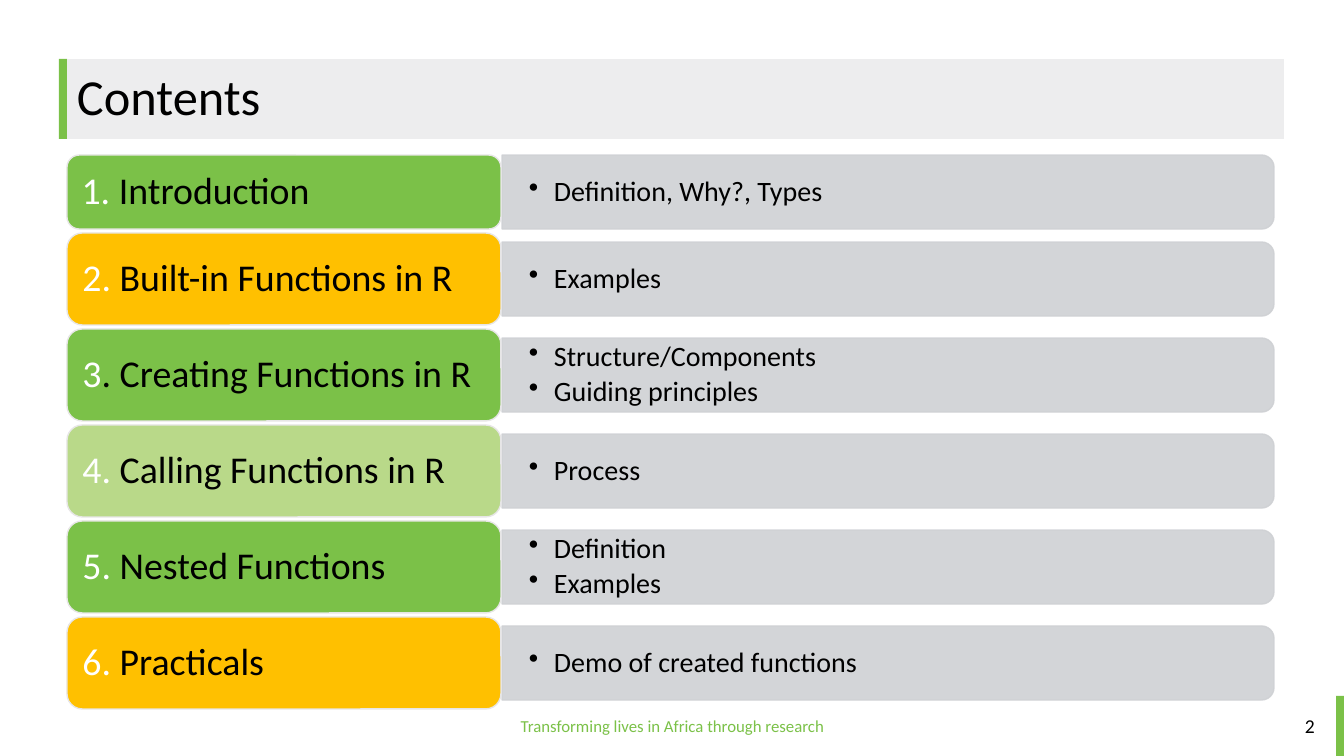
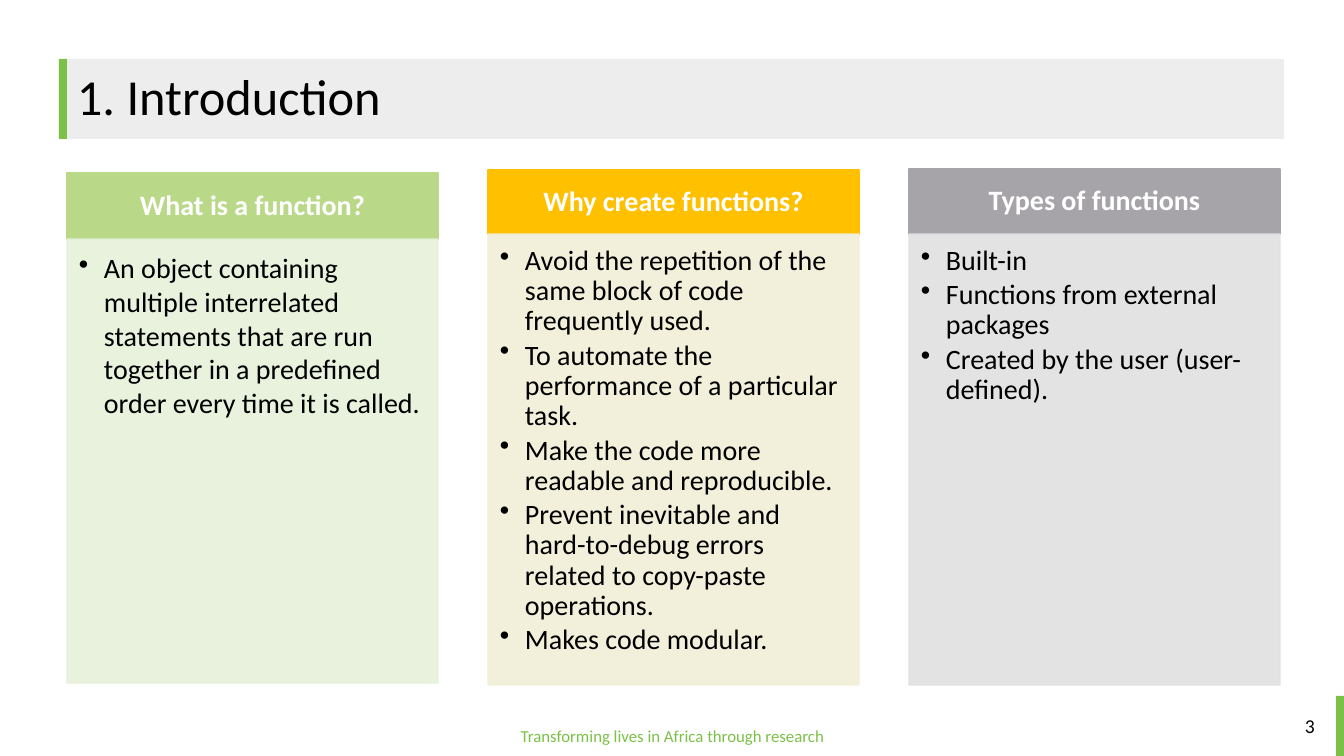
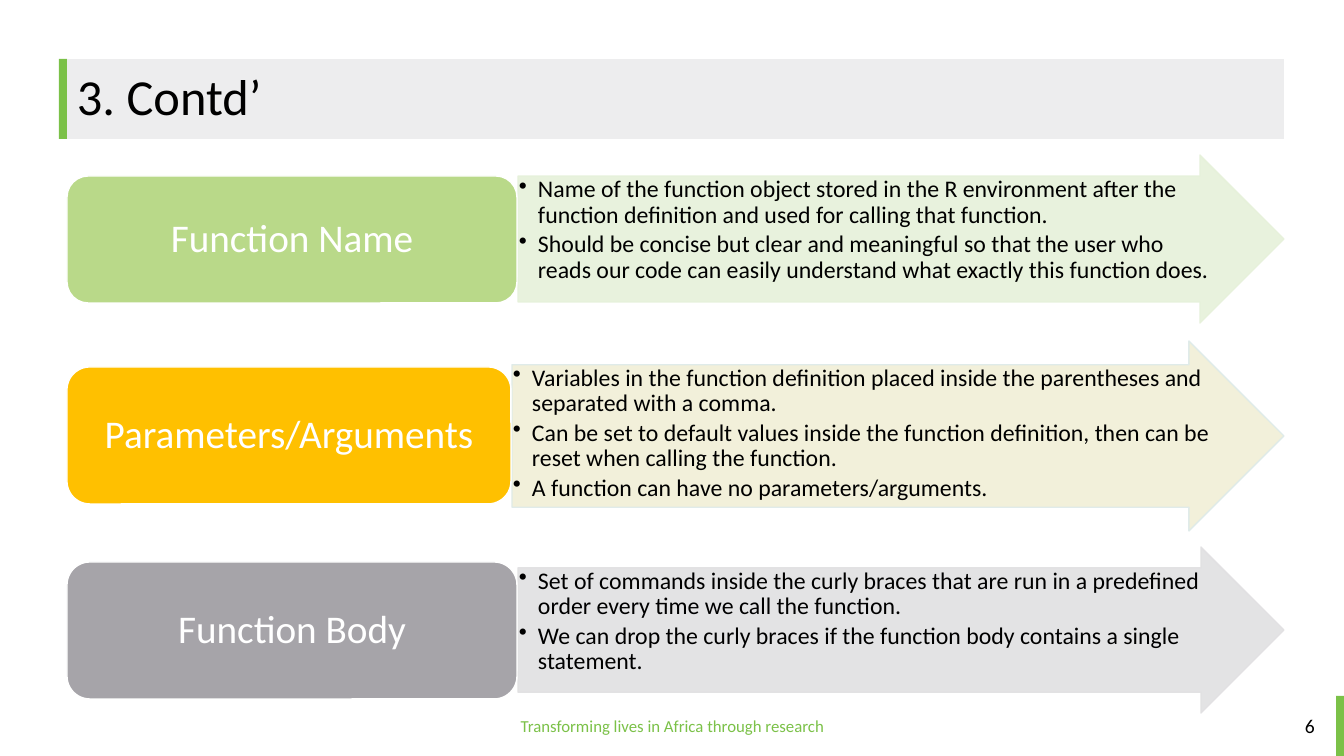
from pptx import Presentation
from pptx.dml.color import RGBColor
from pptx.enum.shapes import MSO_SHAPE
from pptx.enum.text import MSO_ANCHOR, PP_ALIGN
from pptx.oxml.ns import qn
from pptx.util import Pt
from lxml import etree

PX = 9071  # EMU in one px
FONT = "Calibri"
RECT = MSO_SHAPE.RECTANGLE
ROUNDED = MSO_SHAPE.ROUNDED_RECTANGLE
HALF_ROUNDED = MSO_SHAPE.ROUND_2_SAME_RECTANGLE
ARROW = MSO_SHAPE.RIGHT_ARROW
TOP, MIDDLE = MSO_ANCHOR.TOP, MSO_ANCHOR.MIDDLE
LEFT, CENTER = PP_ALIGN.LEFT, PP_ALIGN.CENTER

BLACK, WHITE = "000000", "FFFFFF"
GREEN, AMBER, LIME, GREY = "7BC148", "FFC000", "B9D989", "A6A4A9"
PALE_LIME, PALE_AMBER, PALE_GREY = "E6F1DA", "F1EFD7", "E1E0E2"
TITLE_BAND, BAR, LABEL_EDGE, ARROW_EDGE = "EDEDEE", "CFD1D4", "E7E6E6", "DDEAE9"

# Text styles: margins are left, top, right, bottom in px
SIDES = ("margin_left", "margin_top", "margin_right", "margin_bottom")
STYLES = {
    "title": dict(size=36, color=BLACK, align=LEFT, anchor=MIDDLE, margins=(10, 5, 10, 5)),
    "footer": dict(size=12, color=GREEN, align=CENTER, anchor=MIDDLE, margins=(10, 5, 10, 5)),
    "number": dict(size=14, color=BLACK, align=CENTER, anchor=MIDDLE, margins=(10, 5, 10, 5)),
    "chapter": dict(size=27, color=BLACK, align=LEFT, anchor=MIDDLE, margins=(11, 6, 11, 6)),
    "topics": dict(size=20, color=BLACK, align=LEFT, anchor=MIDDLE, margins=(27, 0, 27, 0), indent=25),
    "heading": dict(size=20, color=WHITE, align=CENTER, anchor=MIDDLE, margins=(16, 9, 16, 9), bold=True),
    "points": dict(size=20, color=BLACK, align=LEFT, anchor=TOP, margins=(12, 12, 16, 17), indent=25),
    "part": dict(size=28, color=WHITE, align=CENTER, anchor=MIDDLE, margins=(12, 6, 12, 6)),
    "details": dict(size=17, color=BLACK, align=LEFT, anchor=TOP, margins=(1, 1, 1, 1), indent=19),
}


def add_box(slide, preset, box, fill, edge=None, opacity=100):
    """Add a preset shape at a px box, with a plain fill and a 1 pt edge."""
    shape = slide.shapes.add_shape(preset, *[length * PX for length in box])
    shape.shadow.inherit = False
    shape.fill.solid()
    shape.fill.fore_color.rgb = RGBColor.from_string(fill)
    if edge:
        shape.line.color.rgb = RGBColor.from_string(edge)
        shape.line.width = Pt(1)
    else:
        shape.line.fill.background()
    if opacity < 100:
        for color in shape._element.spPr.iter(qn("a:srgbClr")):
            etree.SubElement(color, qn("a:alpha"), val=str(opacity * 1000))
    return shape


def write(shape, paragraphs, style_name, spacing=0.9):
    """Write paragraphs, each a string or a list of (text, colour) runs."""
    style = STYLES[style_name]
    frame = shape.text_frame
    frame.word_wrap = True
    frame.vertical_anchor = style["anchor"]
    for side, margin in zip(SIDES, style["margins"]):
        setattr(frame, side, margin * PX)
    for index, content in enumerate(paragraphs):
        paragraph = frame.add_paragraph() if index else frame.paragraphs[0]
        if "indent" in style:
            props = paragraph._p.get_or_add_pPr()
            props.set("marL", str(style["indent"] * PX))
            props.set("indent", str(-style["indent"] * PX))
            etree.SubElement(props, qn("a:buChar"), char="•")
        layout_values = {
            "alignment": style["align"],
            "line_spacing": spacing,
            "space_before": Pt(0.15 * style["size"] if index else 0),
        }
        for name, value in layout_values.items():
            setattr(paragraph, name, value)
        runs = [(content, style["color"])] if isinstance(content, str) else content
        for text, color in runs:
            run = paragraph.add_run()
            run.text = text
            font_values = {"name": FONT, "size": Pt(style["size"]), "bold": style.get("bold", False)}
            for name, value in font_values.items():
                setattr(run.font, name, value)
            run.font.color.rgb = RGBColor.from_string(color)


prs = Presentation()
prs.slide_width, prs.slide_height = 1344 * PX, 756 * PX

# Shared frame: title band, green bars, footer and page number
slides = []
for heading, number, footer_top in (
    ("Contents", "2", 696),
    ("1. Introduction", "3", 716),
    ("3. Contd’", "6", 696),
):
    slide = prs.slides.add_slide(prs.slide_layouts[5])
    title = slide.shapes.title
    for name, length in {"left": 67, "top": 59, "width": 1217, "height": 80}.items():
        setattr(title, name, length * PX)
    title.fill.solid()
    title.fill.fore_color.rgb = RGBColor.from_string(TITLE_BAND)
    write(title, [heading], "title")
    add_box(slide, RECT, (1336, 696, 8, 60), GREEN)
    add_box(slide, RECT, (59, 59, 8, 80), GREEN)
    footer = add_box(slide, RECT, (481, footer_top, 383, 756 - footer_top), WHITE)
    write(footer, ["Transforming lives in Africa through research"], "footer", 1.0)
    page_number = add_box(slide, RECT, (1284, 696, 52, 60), WHITE)
    write(page_number, [number], "number", 1.0)
    slides.append(slide)
contents, introduction, components = slides

# Contents: a chapter label and a bar of topics in each row
chapters = (
    ("1. ", "Introduction", GREEN, ["Definition, Why?, Types"]),
    ("2. ", "Built-in Functions in R", AMBER, ["Examples"]),
    ("3", ". Creating Functions in R", GREEN, ["Structure/Components", "Guiding principles"]),
    ("4. ", "Calling Functions in R", LIME, ["Process"]),
    ("5. ", "Nested Functions", GREEN, ["Definition", "Examples"]),
    ("6. ", "Practicals", AMBER, ["Demo of created functions"]),
)
BAR_LEFT, BAR_LENGTH, BAR_HEIGHT, ROW_GAP = 502, 772, 74, 4
turn_shift = (BAR_LENGTH - BAR_HEIGHT) // 2
row_top = 155
for row, (number, name, color, topics) in enumerate(chapters):
    row_height = 92 if row else 74
    bar_top = row_top + (row_height - BAR_HEIGHT) // 2
    bar = add_box(contents, HALF_ROUNDED,
                  (BAR_LEFT + turn_shift, bar_top - turn_shift, BAR_HEIGHT, BAR_LENGTH),
                  BAR, BAR, 90)
    bar.rotation = 90
    topic_box = contents.shapes.add_textbox(
        *[length * PX for length in (BAR_LEFT, bar_top, BAR_LENGTH, BAR_HEIGHT)])
    write(topic_box, topics, "topics")
    chapter = add_box(contents, ROUNDED, (67, row_top, 434, row_height), color, LABEL_EDGE)
    write(chapter, [[(number, WHITE), (name, BLACK)]], "chapter")
    row_top += row_height + ROW_GAP

# Introduction: three columns, each a heading over its points
columns = (
    ("What is a function?", LIME, PALE_LIME, 173, 239, 683, 1.0, [
        "An object containing multiple interrelated statements that are run together "
        "in a predefined order every time it is called.",
    ]),
    ("Why create functions?", AMBER, PALE_AMBER, 170, 234, 685, 0.9, [
        "Avoid the repetition of the same block of code frequently used.",
        "To automate the performance of a particular task.",
        "Make the code more readable and reproducible.",
        "Prevent inevitable and hard-to-debug errors related to copy-paste operations.",
        "Makes code modular.",
    ]),
    ("Types of functions", GREY, PALE_GREY, 169, 234, 685, 0.9, [
        "Built-in",
        "Functions from external packages",
        "Created by the user (user-defined).",
    ]),
)
for column, (question, color, tint, top, split, bottom, spacing, answers) in enumerate(columns):
    left = 67 + 421 * column
    heading = add_box(introduction, RECT, (left, top, 371, split - top), color, color)
    write(heading, [question], "heading")
    points = add_box(introduction, RECT, (left, split, 371, bottom - split), tint, tint, 90)
    write(points, answers, "points", spacing)

# Components: a part label with an arrow of details in each row
parts = (
    ("Function Name", LIME, PALE_LIME, PALE_LIME, (518, 155, 766, 168), (67, 176, 450, 127), [
        "Name of the function object stored in the R environment after the function "
        "definition and used for calling that function.",
        "Should be concise but clear and meaningful so that the user who reads our code "
        "can easily understand what exactly this function does.",
    ]),
    ("Parameters/Arguments", AMBER, PALE_AMBER, ARROW_EDGE, (512, 341, 772, 190), (67, 367, 444, 137), [
        "Variables in the function definition placed inside the parentheses and "
        "separated with a comma.",
        "Can be set to default values inside the function definition, then can be reset "
        "when calling the function.",
        "A function can have no parameters/arguments.",
    ]),
    ("Function Body", GREY, PALE_GREY, PALE_GREY, (518, 547, 766, 166), (67, 562, 450, 137), [
        "Set of commands inside the curly braces that are run in a predefined order "
        "every time we call the function.",
        "We can drop the curly braces if the function body contains a single statement.",
    ]),
)
for name, color, tint, edge, arrow_box, label_box, details in parts:
    arrow = add_box(components, ARROW, arrow_box, tint, edge, 90)
    arrow.adjustments[0], arrow.adjustments[1] = 0.75, 0.5
    write(arrow, details, "details")
    part = add_box(components, ROUNDED, label_box, color, WHITE)
    write(part, [name], "part")

prs.save("out.pptx")
